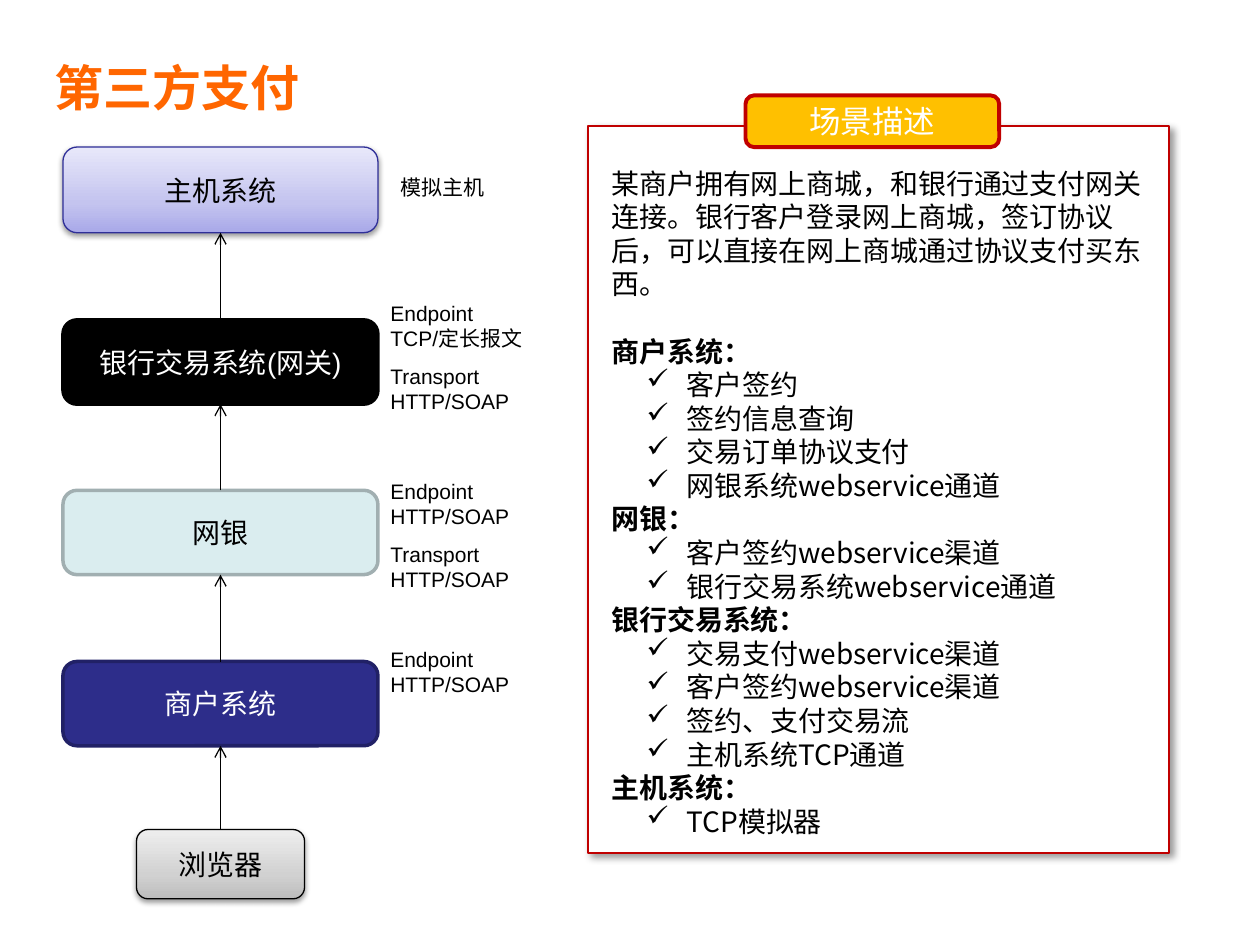
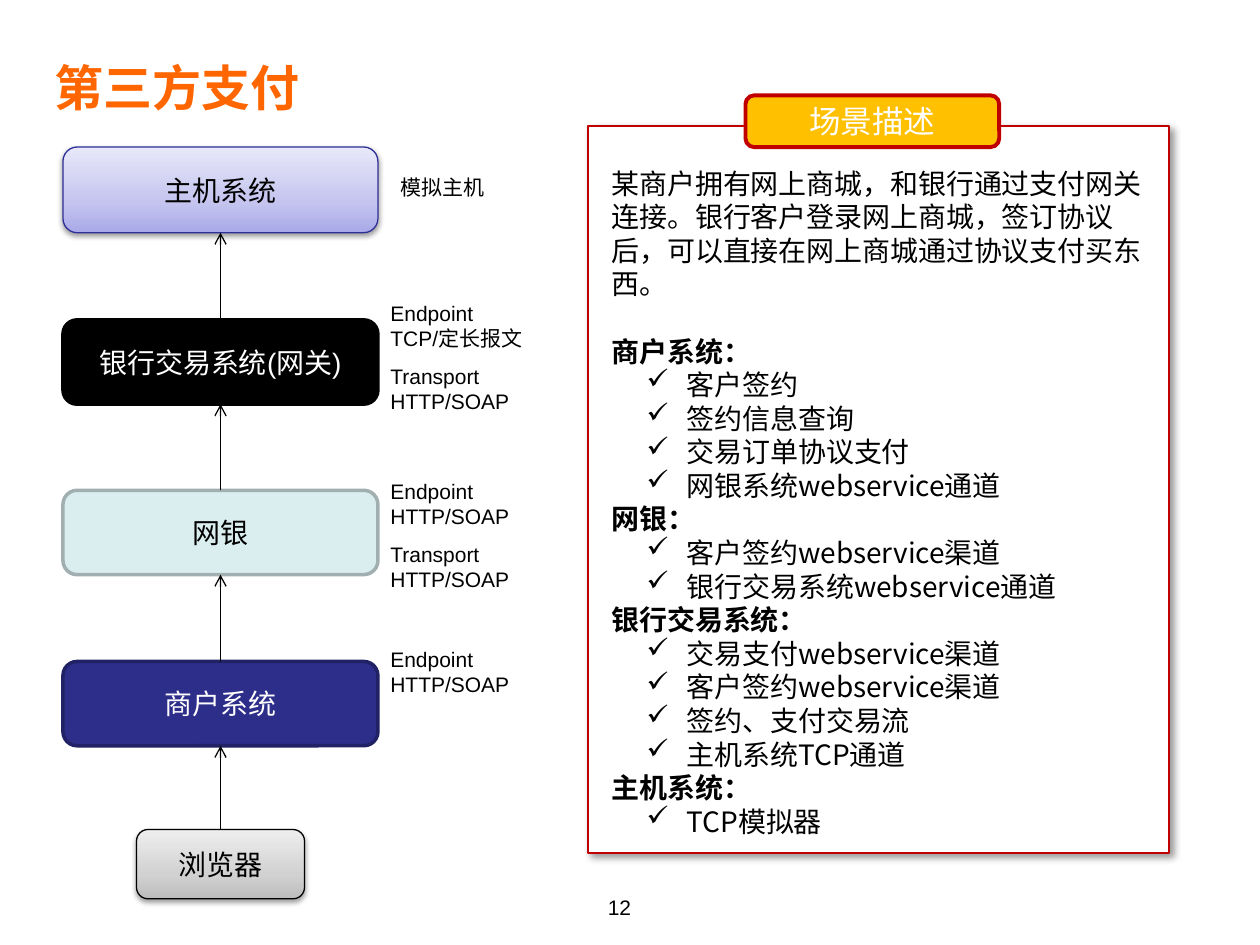
from dataclasses import dataclass
from lxml import etree
from pptx import Presentation
from pptx import util as u
from pptx.dml.color import RGBColor
from pptx.enum import shapes, text
from pptx.oxml.ns import qn

Pt = u.Pt


@dataclass(frozen=True)
class Theme:
    latin: str = "Arial"
    cjk: str = "Noto Sans CJK SC"
    orange: str = "FF6600"
    black: str = "000000"
    white: str = "FFFFFF"
    red: str = "C00000"
    amber: str = "FFC000"
    title: float = 28
    badge: float = 18
    body: float = 16
    label: float = 12
    leading: float = 1.2


theme = Theme()
ROUND = shapes.MSO_SHAPE.ROUNDED_RECTANGLE
RECT = shapes.MSO_SHAPE.RECTANGLE
MIDDLE, TOP, BOTTOM = text.MSO_ANCHOR.MIDDLE, text.MSO_ANCHOR.TOP, text.MSO_ANCHOR.BOTTOM
CENTER, LEFT = text.PP_ALIGN.CENTER, text.PP_ALIGN.LEFT


def write(shape, lines, size, color=theme.black, font=theme.latin, bold=False,
          align=LEFT, anchor=TOP, leading=None):
    """Fill a shape with one run per line and return its paragraphs."""
    frame = shape.text_frame
    frame.word_wrap = True
    frame.vertical_anchor = anchor
    for i, line in enumerate(lines):
        para = frame.paragraphs[0] if i == 0 else frame.add_paragraph()
        para.alignment = align
        if leading:
            para.line_spacing = Pt(round(size * leading, 1))
        run = para.add_run()
        run.text = line
        run.font.size, run.font.bold, run.font.name = Pt(size), bold, font
        run.font.color.rgb = RGBColor.from_string(color)
        etree.SubElement(run._r.get_or_add_rPr(), qn("a:ea"), typeface=theme.cjk)
    return frame.paragraphs


def panel(slide, kind, place, fill, line, weight, shadow=None):
    """Draw a box; fill is a colour or gradient stops, shadow is (alpha, blur, distance, angle)."""
    shape = slide.shapes.add_shape(kind, *map(Pt, place))
    if isinstance(fill, str):
        shape.fill.solid()
        shape.fill.fore_color.rgb = RGBColor.from_string(fill)
    else:
        shape.fill.gradient()
        shape.fill.gradient_angle = 90
        stops = shape._element.spPr.find(".//" + qn("a:gsLst"))
        stops.clear()
        for percent, color in fill:
            stop = etree.SubElement(stops, qn("a:gs"), pos=str(percent * 1000))
            etree.SubElement(stop, qn("a:srgbClr"), val=color)
    shape.line.color.rgb = RGBColor.from_string(line)
    shape.line.width = Pt(weight)
    shape.shadow.inherit = False
    if shadow:
        alpha, blur, distance, angle = shadow
        outer = etree.SubElement(
            shape._element.spPr.find(qn("a:effectLst")), qn("a:outerShdw"),
            blurRad=str(Pt(blur)), dist=str(Pt(distance)), dir=str(angle * 60000),
            algn="t", rotWithShape="0")
        tint = etree.SubElement(outer, qn("a:srgbClr"), val=theme.black)
        etree.SubElement(tint, qn("a:alpha"), val=str(alpha * 1000))
    return shape


# Systems from bottom to top: name, place, fill, line, weight, text colour, shadow
SOFT = (38, 3.1, 1.6, 90)
GREY = ((0, "BDBDBD"), (35, "D1D1D1"), (100, "EEEEEE"))
LILAC = ((0, "A9A9E9"), (35, "C4C4EF"), (100, "E8E8FA"))
systems = [
    ("浏览器", (78, 474, 96, 39.6), GREY, theme.black, 0.75, theme.black, SOFT),
    ("商户系统", (36, 378, 180, 48.2), "2D2D8A", "212166", 2, theme.white, None),
    ("网银", (36, 280.2, 180, 48.2), "DAEDEF", "A1AFB1", 2, theme.black, None),
    ("银行交易系统(网关)", (36, 182.8, 180, 48.2), theme.black, theme.black, 2, theme.white, None),
    ("主机系统", (36, 84, 180, 49), LILAC, "2F2F98", 0.75, theme.black, SOFT),
]

# Protocol labels: left, top, width, lines
protocols = [
    (222, 96, 70, ["模拟主机"]),
    (216, 168, 162, ["Endpoint", "TCP/定长报文"]),
    (216, 204, 162, ["Transport", "HTTP/SOAP"]),
    (216, 270, 162, ["Endpoint", "HTTP/SOAP"]),
    (216, 306, 120, ["Transport", "HTTP/SOAP"]),
    (216, 366, 114, ["Endpoint", "HTTP/SOAP"]),
]

# Scenario: introduction, then each system with its functions
intro = ("某商户拥有网上商城，和银行通过支付网关连接。银行客户登录网上商城，签订协议后，"
         "可以直接在网上商城通过协议支付买东西。")
functions = {
    "商户系统：": ["客户签约", "签约信息查询", "交易订单协议支付", "网银系统webservice通道"],
    "网银：": ["客户签约webservice渠道", "银行交易系统webservice通道"],
    "银行交易系统：": ["交易支付webservice渠道", "客户签约webservice渠道", "签约、支付交易流",
                "主机系统TCP通道"],
    "主机系统：": ["TCP模拟器"],
}
scenario_lines = [intro]
for heading, items in functions.items():
    scenario_lines += [heading, *items]

prs = Presentation()
prs.slide_width, prs.slide_height = Pt(720), Pt(540)

for page_number in (None, "12"):
    slide = prs.slides.add_slide(prs.slide_layouts[6])

    # Title and page number
    title = slide.shapes.add_textbox(Pt(24), Pt(27.6), Pt(678), Pt(44))
    write(title, ["第三方支付"], theme.title, theme.orange, bold=True, anchor=MIDDLE)
    if page_number:
        footer = slide.shapes.add_textbox(Pt(270), Pt(492), Pt(168), Pt(37.2))
        write(footer, [page_number], theme.label, align=CENTER, anchor=BOTTOM)

    # Chain of systems, each joined to the one above
    below = None
    for name, place, fill, line, weight, color, shadow in systems:
        system = panel(slide, ROUND, place, fill, line, weight, shadow)
        write(system, [name], theme.body, color, align=CENTER, anchor=MIDDLE)
        if below is not None:
            call = slide.shapes.add_connector(shapes.MSO_CONNECTOR.STRAIGHT, 0, 0, 0, 0)
            call.begin_connect(below, 0)
            call.end_connect(system, 2)
            call.line.color.rgb = RGBColor.from_string(theme.black)
            call.line.width = Pt(0.75)
            etree.SubElement(call.line._get_or_add_ln(), qn("a:tailEnd"), type="arrow")
            etree.SubElement(call._element.spPr, qn("a:effectLst"))
        below = system

    # Protocol labels
    for left, top, width, lines in protocols:
        protocol = slide.shapes.add_textbox(Pt(left), Pt(top), Pt(width), Pt(36 if lines[1:] else 21.6))
        write(protocol, lines, theme.label, leading=theme.leading)

    # Scenario panel
    panel(slide, RECT, (336, 72, 332, 415.4), theme.white, theme.red, 1.5, (40, 4, 3, 45))
    scenario = slide.shapes.add_textbox(Pt(342.3), Pt(91.4), Pt(325.4), Pt(406.8))
    paragraphs = write(scenario, scenario_lines, theme.body, font=theme.cjk, leading=theme.leading)
    paragraphs[0]._p.get_or_add_pPr().set("hangingPunct", "0")
    paragraphs[1].space_before = Pt(theme.body * theme.leading)
    for para, line in zip(paragraphs[1:], scenario_lines[1:]):
        if line in functions:
            para.runs[0].font.bold = True
        else:
            props = para._p.get_or_add_pPr()
            props.set("marL", str(Pt(43)))
            props.set("indent", str(-Pt(23)))
            etree.SubElement(props, qn("a:buFont"), typeface="Wingdings", charset="2")
            etree.SubElement(props, qn("a:buChar"), char="ü")

    # Scenario badge
    badge = panel(slide, ROUND, (426, 54.5, 145, 29.6), theme.amber, theme.red, 2.25)
    write(badge, ["场景描述"], theme.badge, theme.white, theme.cjk, align=CENTER, anchor=MIDDLE)

prs.save("out.pptx")
